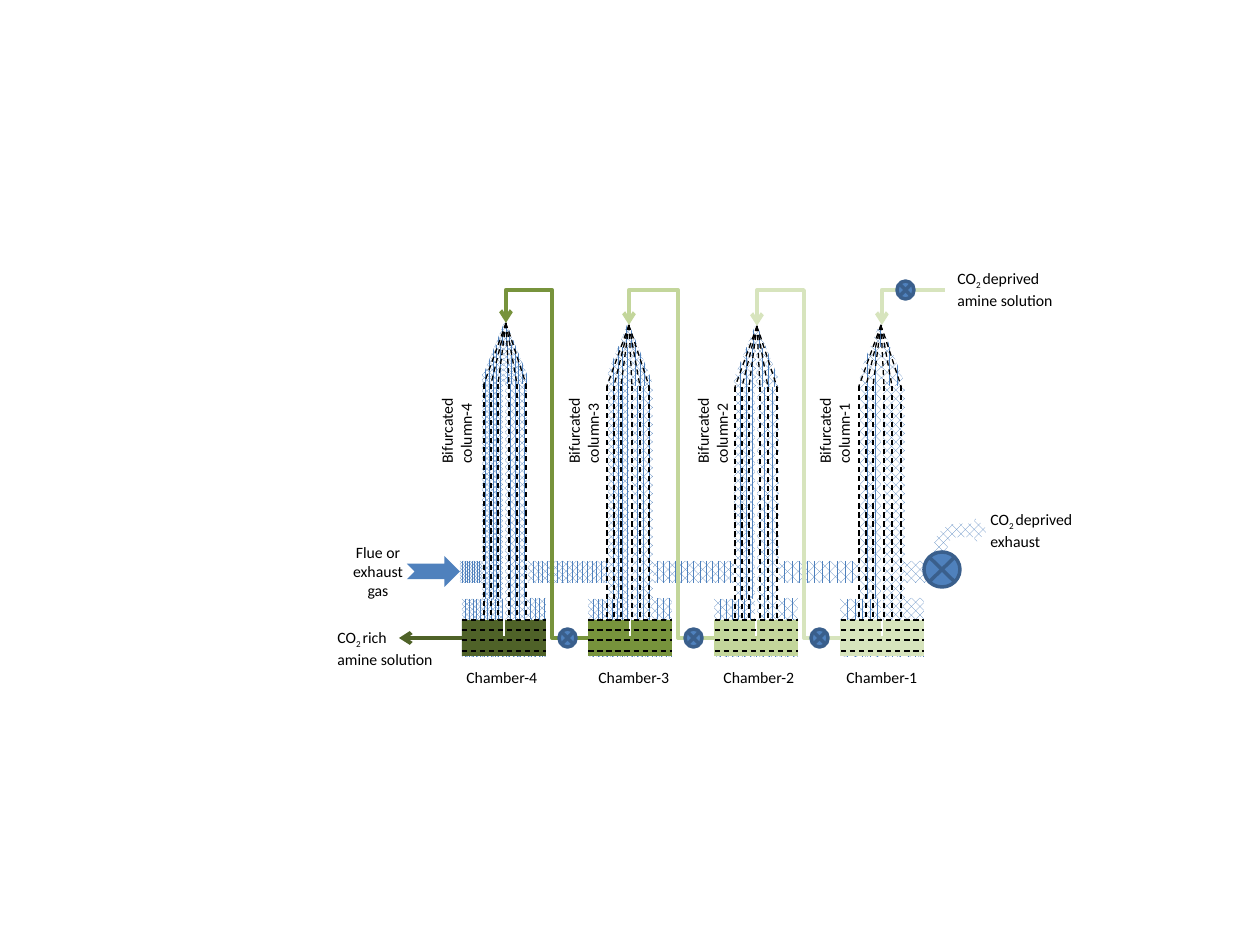
from dataclasses import dataclass

from lxml import etree
from pptx import Presentation
from pptx.dml.color import RGBColor
from pptx.enum import dml, shapes, text
from pptx.oxml.ns import qn
from pptx.util import Emu, Pt

SCALE = 914400 / 126
PITCH = 126
CHAMBER_LEFT, CHAMBER_WIDTH = 462, 84
GAS_TOP, LIQUID_TOP, LIQUID_BOTTOM = 599, 620, 656
PIPE_TOP, PIPE_LEVEL = 290, 638
COLORS = {
    "gas": "4F81BD", "valve_edge": "3A5F8C", "white": "FFFFFF", "black": "000000",
    "rich": "4F6228", "strong": "77933C", "medium": "C3D69B", "lean": "D7E4BD",
}
PATTERNS = {
    level: getattr(dml.MSO_PATTERN, f"PERCENT_{level}") for level in (50, 60, 70, 75, 80, 90)
}


@dataclass
class Stage:
    number: int
    left: int
    apex_y: int
    density: int
    next_density: int
    liquid: str
    title_left: int
    label_left: int


@dataclass
class Duct:
    left: int
    width: int
    density: int


@dataclass
class Caption:
    left: int
    top: int
    width: int
    height: int
    lines: list[list[str]]
    centered: bool = False
    rotation: int = 0


STAGES = [
    Stage(4, 484, 323, 80, 75, "rich", 454, 407),
    Stage(3, 607, 325, 75, 70, "strong", 586, 534),
    Stage(2, 735, 326, 70, 60, "medium", 711, 663),
    Stage(1, 859, 325, 60, 50, "lean", 834, 785),
]
DUCTS = [Duct(460, 22, 90), Duct(528, 82, 75), Duct(651, 84, 70), Duct(777, 84, 60), Duct(903, 31, 50)]
CAPTIONS = [
    Caption(329, 537, 98, 71, [["Flue or exhaust gas"]], centered=True),
    Caption(978, 504, 116, 50, [["CO", "2 ", "deprived exhaust"]]),
    Caption(325, 622, 123, 50, [["CO", "2 ", "rich"], ["amine solution"]]),
    Caption(945, 263, 126, 50, [["CO", "2 ", "deprived amine solution"]]),
]

deck = Presentation()
deck.slide_width, deck.slide_height = Emu(9144000), Emu(6858000)
page = deck.slides.add_slide(deck.slide_layouts[6])


def px(value: float) -> Emu:
    return Emu(round(value * SCALE))


def rgb(name: str) -> RGBColor:
    return RGBColor.from_string(COLORS[name])


def add_block(left: int, top: int, width: int, height: int, color: str = "gas", density: int = 0,
              edge: str = "", rotation: float = 0,
              kind: shapes.MSO_SHAPE = shapes.MSO_SHAPE.RECTANGLE) -> None:
    block = page.shapes.add_shape(kind, px(left), px(top), px(width), px(height))
    block.shadow.inherit = False
    block.rotation = rotation
    if density:
        block.fill.patterned()
        block.fill.pattern = PATTERNS[density]
        block.fill.fore_color.rgb = rgb(color)
        block.fill.back_color.rgb = rgb("white")
    else:
        block.fill.solid()
        block.fill.fore_color.rgb = rgb(color)
    if edge:
        block.line.color.rgb = rgb(edge)
        block.line.width = Pt(2)
    else:
        block.line.fill.background()


def add_valve(left: int, top: int, width: int = 17, height: int = 18) -> None:
    add_block(left, top, width, height, edge="valve_edge",
              kind=shapes.MSO_SHAPE.FLOWCHART_SUMMING_JUNCTION)


def add_line(x1: int, y1: int, x2: int, y2: int, color: str = "black", weight: float = 0.75,
             dashed: bool = False, arrow: bool = False, bend: str = "",
             adjustments: tuple[float, ...] = ()) -> None:
    kind = shapes.MSO_CONNECTOR.ELBOW if bend else shapes.MSO_CONNECTOR.STRAIGHT
    line = page.shapes.add_connector(kind, px(x1), px(y1), px(x2), px(y2))
    line.line.color.rgb = rgb(color)
    line.line.width = Pt(weight)
    if dashed:
        line.line.dash_style = dml.MSO_LINE.DASH
    properties = line.element.spPr
    if arrow:
        etree.SubElement(properties.find(qn("a:ln")), qn("a:tailEnd"), type="arrow")
    etree.SubElement(properties, qn("a:effectLst"))
    if bend:
        geometry = properties.find(qn("a:prstGeom"))
        geometry.set("prst", bend)
        guides = geometry.find(qn("a:avLst"))
        for index, value in enumerate(adjustments, 1):
            etree.SubElement(guides, qn("a:gd"), name=f"adj{index}", fmla=f"val {round(value * 100000)}")


def add_caption(caption: Caption) -> None:
    box = page.shapes.add_textbox(*map(px, (caption.left, caption.top, caption.width, caption.height)))
    box.rotation = caption.rotation
    frame = box.text_frame
    frame.word_wrap = True
    for index, pieces in enumerate(caption.lines):
        para = frame.add_paragraph() if index else frame.paragraphs[0]
        if caption.centered:
            para.alignment = text.PP_ALIGN.CENTER
        for piece in pieces:
            span = para.add_run()
            span.text = piece
            span.font.name = "Calibri"
            span.font.size = Pt(9)
            span.font.color.rgb = rgb("black")
            if piece == "2 ":
                span.font._element.set("baseline", "-25000")


def add_column(stage: Stage, chamber: int) -> None:
    center = chamber + 42
    top, shoulder = stage.apex_y + 21, stage.apex_y + 61
    add_block(center - 22, top, 22, 600 - top, density=stage.density)
    add_block(center, top, 22, 600 - top, density=stage.density)
    add_block(chamber, GAS_TOP, CHAMBER_WIDTH, 58, density=stage.density)
    add_block(center - 9, stage.apex_y, 22, 22, density=stage.density)
    add_block(chamber, LIQUID_TOP, CHAMBER_WIDTH, 36, stage.liquid)
    add_block(center + 1, shoulder, 22, LIQUID_TOP - shoulder, density=stage.next_density)
    add_block(chamber + 63, GAS_TOP - 1, 21, 21, density=stage.next_density)
    add_line(center, 636, center, shoulder, "white", 1.5)


def add_streams(stage: Stage) -> None:
    apex_x, shoulder = stage.left + 22, stage.apex_y + 61
    for offset in (0, 7, 14, 25, 33, 42):
        x = stage.left + offset
        add_line(x, shoulder, x, 619, dashed=True)
        add_line(apex_x, stage.apex_y, x, shoulder, dashed=True)
    add_block(stage.left + 35, stage.apex_y - 5, 19, 59, "white", edge="white", rotation=338.1)
    add_block(stage.left - 10, stage.apex_y - 7, 19, 55, "white", edge="white", rotation=21.8)


for duct in DUCTS:
    add_block(duct.left, 561, duct.width, 22, density=duct.density)
add_block(934, 517, 54, 66, density=50, kind=shapes.MSO_SHAPE.BENT_ARROW)
add_block(407, 556, 53, 31, kind=shapes.MSO_SHAPE.NOTCHED_RIGHT_ARROW)

for position, stage in enumerate(STAGES):
    add_column(stage, CHAMBER_LEFT + position * PITCH)
for level in (620, 630, 640, 651):
    add_line(CHAMBER_LEFT, level, 924, level, dashed=True)
for stage in STAGES:
    add_streams(stage)

for position, (stage, source) in enumerate(zip(STAGES, STAGES[1:])):
    gap = CHAMBER_LEFT + CHAMBER_WIDTH + position * PITCH
    add_block(gap, GAS_TOP, 42, 59, "white")
    start, end = gap + 42, stage.left + 22
    add_line(start, PIPE_LEVEL, end, stage.apex_y, source.liquid, 2.25, arrow=True,
             bend="bentConnector4",
             adjustments=(36 / (start - end), (PIPE_LEVEL - PIPE_TOP) / (PIPE_LEVEL - stage.apex_y)))
    add_valve(gap + 13, 629)

add_line(945, PIPE_TOP, 882, 325, "lean", 2.25, arrow=True, bend="bentConnector2")
add_line(CHAMBER_LEFT, PIPE_LEVEL, 399, PIPE_LEVEL, "rich", 2.25, arrow=True)
add_valve(897, 281)
add_valve(924, 552, 36, 35)

for caption in CAPTIONS:
    add_caption(caption)
for stage in STAGES:
    add_caption(Caption(stage.title_left, 662, 98, 32, [[f"Chamber-{stage.number}"]]))
    add_caption(Caption(stage.label_left, 402, 98, 50, [[f"Bifurcated column-{stage.number}"]], rotation=270))

deck.save("out.pptx")
